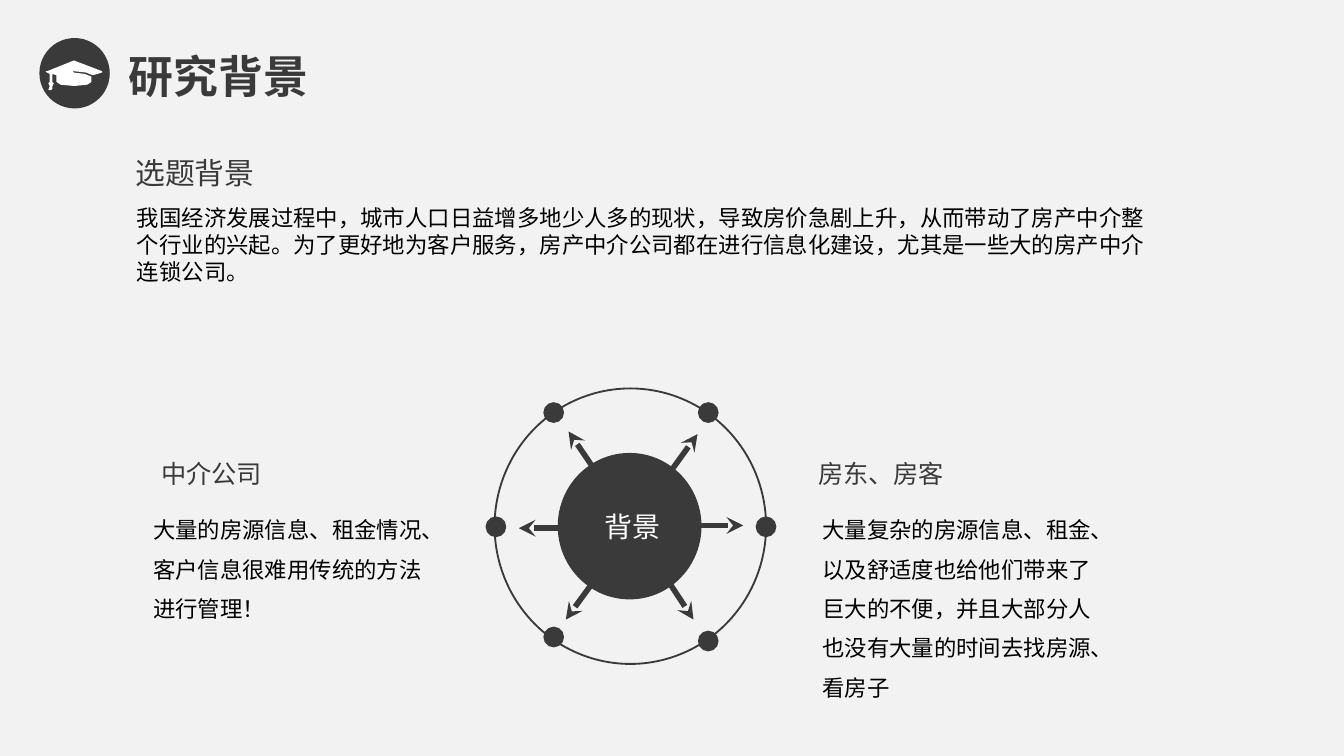
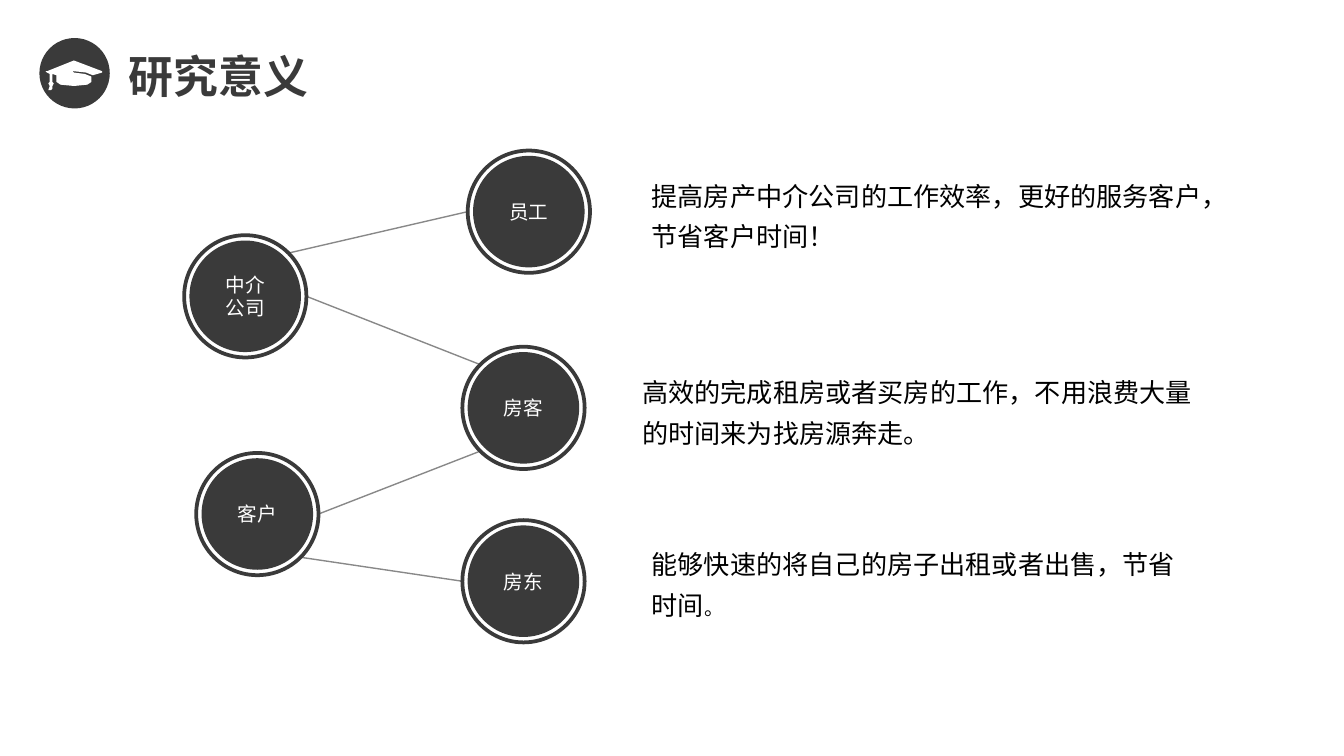
import math

import lxml.etree
import pptx
import pptx.dml.color
import pptx.enum.lang
import pptx.enum.shapes
import pptx.enum.text
import pptx.oxml.ns
import pptx.util

PX = 9144
DARK, WHITE, BLACK, PALE = "3A3A3A", "FFFFFF", "000000", "F2F2F2"
ARIAL, NOTO = "Arial", "Noto Sans CJK SC"
CAP = [(1, 8), (21, 0), (42, 8), (42, 9), (35, 11), (30, 9), (21, 8), (20, 8),
       (21, 9), (29, 10), (34, 12), (34, 16), (31, 18), (21, 19), (11, 18),
       (8, 16), (8, 11), (5, 10), (5, 16), (6, 17), (5, 19), (5, 21), (4, 22),
       (2, 22), (3, 19), (2, 17), (3, 16), (3, 10), (1, 9), (0, 8)]
DOTS = [(159, 18), (44, 18), (1, 103), (202, 103), (159, 188), (44, 185)]
ARROWS = [((102, 102), (151, 34)), ((101, 102), (185, 102)),
          ((102, 101), (55, 32)), ((101, 104), (18, 104)),
          ((102, 105), (53, 172)), ((104, 105), (148, 172))]
NODES = {"中介公司": (137, 175), "客户": (146, 337), "员工": (348, 112),
         "房东": (344, 387), "房客": (344, 258)}
NODE_SIZE = 91
LINKS = [("客户", 45, "房东", 180), ("中介公司", -45, "员工", 180),
         ("中介公司", 0, "房客", -135), ("客户", 0, "房客", 135)]


def color(value):
    """Turn a hex string into a colour."""
    return pptx.dml.color.RGBColor.from_string(value)


def emu(*lengths):
    """Turn px lengths into EMU."""
    return [round(length * PX) for length in lengths]


def inside(box, left, top, width, height):
    """Give a box placed relative to the corner of another one."""
    return box[0] + left, box[1] + top, width, height


def paint(shape, fill=None, line=None, weight=1):
    """Set the fill and outline of a shape and drop its shadow."""
    shape.shadow.inherit = False
    if fill:
        shape.fill.solid()
        shape.fill.fore_color.rgb = color(fill)
    else:
        shape.fill.background()
    if line:
        shape.line.color.rgb = color(line)
        shape.line.width = pptx.util.Pt(weight)
    else:
        shape.line.fill.background()


def add_ellipse(page, box, **style):
    """Add a painted ellipse."""
    oval = page.shapes.add_shape(pptx.enum.shapes.MSO_SHAPE.OVAL, *emu(*box))
    paint(oval, **style)
    return oval


def add_line(page, start, end, weight, arrow=False, alpha=None):
    """Add a straight line, with an arrowhead or transparency if asked."""
    line = page.shapes.add_connector(
        pptx.enum.shapes.MSO_CONNECTOR.STRAIGHT, *emu(*start, *end))
    line.line.color.rgb = color(DARK)
    line.line.width = pptx.util.Pt(weight)
    name = pptx.oxml.ns.qn
    properties = line.line._get_or_add_ln()
    if arrow:
        lxml.etree.SubElement(properties, name("a:tailEnd"), type="stealth")
    if alpha:
        tint = properties.find(".//" + name("a:srgbClr"))
        lxml.etree.SubElement(tint, name("a:alpha"), val=str(alpha * 1000))
    lxml.etree.SubElement(properties.getparent(), name("a:effectLst"))


def add_span(para, text, size, face=NOTO, ink=BLACK, bold=False):
    """Add formatted text to a paragraph."""
    span = para.add_run()
    span.text = text
    span.font.size = pptx.util.Pt(size)
    span.font.bold = bold
    span.font.color.rgb = color(ink)
    span.font.name = face
    span.font.language_id = pptx.enum.lang.MSO_LANGUAGE_ID.SIMPLIFIED_CHINESE
    lxml.etree.SubElement(span.font._element, pptx.oxml.ns.qn("a:ea"), typeface=NOTO)


def add_text(page, text, box, wrap=True, spacing=None, **style):
    """Add a text box of one paragraph and return the paragraph."""
    frame = page.shapes.add_textbox(*emu(*box)).text_frame
    frame.word_wrap = wrap
    frame.auto_size = pptx.enum.text.MSO_AUTO_SIZE.SHAPE_TO_FIT_TEXT
    para = frame.paragraphs[0]
    if spacing:
        para.line_spacing = spacing
    add_span(para, text, **style)
    return para


def add_page(deck, title, ground):
    """Add a page with its background, cap badge and title."""
    page = deck.slides.add_slide(deck.slide_layouts[6])
    page.background.fill.solid()
    page.background.fill.fore_color.rgb = color(ground)
    badge = (30, 29, 51, 51)
    add_ellipse(page, badge, fill=DARK, line=DARK)
    builder = page.shapes.build_freeform(*CAP[0], scale=PX)
    builder.add_line_segments(CAP[1:], close=True)
    cap = builder.convert_to_shape(*emu(badge[0] + 4, badge[1] + 16))
    paint(cap, fill=WHITE)
    add_text(page, title, (86, 31, 188, 50), size=24, face=ARIAL, ink=DARK, bold=True)
    return page


def add_wheel(page, box):
    """Draw the ring, its dots, the arrows and the hub."""
    left, top = box[:2]
    add_ellipse(page, box, line=DARK)
    for x, y in DOTS:
        add_ellipse(page, inside(box, x - 7, y - 7, 14, 14), fill=DARK, line=DARK)
    for start, end in ARROWS:
        add_line(page, (left + start[0], top + start[1]),
                 (left + end[0], top + end[1]), 3, arrow=True)
    add_ellipse(page, inside(box, 47, 48, 107, 109), fill=DARK)
    add_text(page, "背景", inside(box, 72, 85, 62, 35), wrap=False, size=15, ink=WHITE)


def add_party(page, box, heading, heading_left, heading_width, body):
    """Write a heading and the wide-spaced text below it."""
    add_text(page, heading, inside(box, heading_left, 0, heading_width, 33),
             wrap=False, size=13.5, ink=DARK)
    add_text(page, body, inside(box, 0, 34, box[2], box[3] - 34),
             spacing=pptx.util.Pt(21.1), size=12, face=ARIAL)


def add_node(page, label, box):
    """Draw a labelled disc inside a ring."""
    disc = add_ellipse(page, inside(box, 4, 4, 83, 83), fill=DARK)
    frame = disc.text_frame
    frame.word_wrap = True
    frame.vertical_anchor = pptx.enum.text.MSO_ANCHOR.MIDDLE
    para = frame.paragraphs[0]
    para.alignment = pptx.enum.text.PP_ALIGN.CENTER
    add_span(para, label, size=10.5, face=ARIAL, ink=WHITE)
    add_ellipse(page, box, line=DARK, weight=2)


def rim_point(label, degrees):
    """Give the point on a node's ring at a clockwise angle from the right."""
    angle, radius = math.radians(degrees), NODE_SIZE / 2
    left, top = NODES[label]
    return (left + radius * (1 + math.cos(angle)),
            top + radius * (1 + math.sin(angle)))


def build_background(deck):
    """Build the page on the research background."""
    page = add_page(deck, "研究背景", PALE)
    add_text(page, "选题背景", (91, 110, 110, 37), wrap=False, size=16, ink=DARK)
    add_text(page, "我国经济发展过程中，城市人口日益增多地少人多的现状，导致房价急剧上升，"
             "从而带动了房产中介整个行业的兴起。为了更好地为客户服务，房产中介公司都在"
             "进行信息化建设，尤其是一些大的房产中介连锁公司。",
             (92, 147, 781, 71), size=12, face=ARIAL)
    add_wheel(page, (368, 289, 202, 205))
    add_party(page, (104, 336, 225, 133), "中介公司", 6, 95,
              "大量的房源信息、租金情况、客户信息很难用传统的方法进行管理！")
    add_party(page, (602, 336, 225, 192), "房东、房客", -3, 114,
              "大量复杂的房源信息、租金、以及舒适度也给他们带来了巨大的不便，"
              "并且大部分人也没有大量的时间去找房源、看房子")


def build_significance(deck):
    """Build the page on the research significance."""
    page = add_page(deck, "研究意义", WHITE)
    for label, corner in NODES.items():
        add_node(page, label, (*corner, NODE_SIZE, NODE_SIZE))
    for source, leave, target, arrive in LINKS:
        add_line(page, rim_point(source, leave), rim_point(target, arrive),
                 0.75, alpha=60)
    benefits = [
        ("提高房产中介公司的工作效率，更好的服务客户，节省客户时间！", (475, 122, 433, 71)),
        ("高效的完成租房或者买房的工作，不用浪费大量的时间来为找房源奔走。",
         (468, 268, 433, 71)),
        ("能够快速的将自己的房子出租或者出售，节省时间", (475, 396, 427, 71))]
    for text, box in benefits:
        para = add_text(page, text, box, spacing=1.3, size=14)
    add_span(para, "。", size=10.5)


def main():
    """Build the deck and save it."""
    deck = pptx.Presentation()
    deck.slide_width = 1000 * PX
    deck.slide_height = deck.slide_width * 9 // 16
    build_background(deck)
    build_significance(deck)
    deck.save("out.pptx")


if __name__ == "__main__":
    main()
